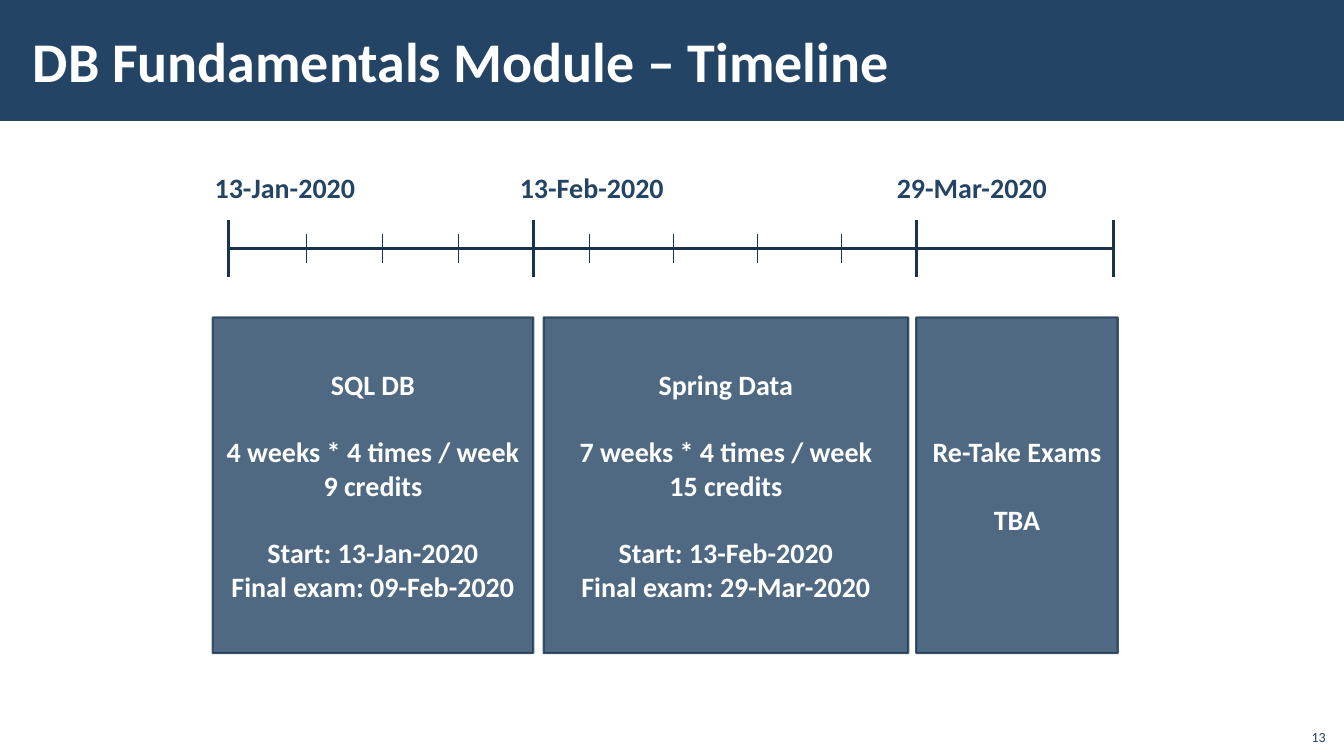
from dataclasses import dataclass

import lxml.etree
import pptx
import pptx.dml.color
import pptx.enum.shapes
import pptx.enum.text
import pptx.oxml.ns
import pptx.util
from pptx.util import Cm

ALIGN = pptx.enum.text.PP_ALIGN
ANCHOR = pptx.enum.text.MSO_ANCHOR


@dataclass(frozen=True)
class Theme:
    font: str = "Calibri"
    navy: str = "234465"
    ink: str = "1A334C"
    white: str = "FFFFFF"
    title_size: float = 40
    body_size: float = 20
    number_size: float = 10
    section_gap: float = 24
    box_opacity: int = 80


THEME = Theme()

AXIS_Y = 6.27
MAJOR_TICKS = (5.77, 13.44, 23.09, 28.07)
MINOR_TICKS = [7.72 + 1.92 * week for week in range(3)]
MINOR_TICKS += [14.84 + 2.12 * week for week in range(4)]

DATES = ((5.16, "13-Jan-2020"), (12.85, "13-Feb-2020"), (22.35, "29-Mar-2020"))

# Left edge, width, and sections of lines for each stage of the module
STAGES = (
    (5.36, 8.08, (("SQL DB",),
                  ("4 weeks * 4 times / week", "9 credits"),
                  ("Start: 13-Jan-2020", "Final exam: 09-Feb-2020"))),
    (13.7, 9.19, (("Spring Data",),
                  ("7 weeks * 4 times / week", "15 credits"),
                  ("Start: 13-Feb-2020", "Final exam: 29-Mar-2020"))),
    (23.09, 5.08, (("Re-Take Exams",), ("TBA",))),
)


def rgb(color):
    return pptx.dml.color.RGBColor.from_string(color)


def set_opacity(properties, percent):
    """Add an alpha value to every solid colour in the shape properties."""
    qn = pptx.oxml.ns.qn
    for color in properties.iter(qn("a:srgbClr")):
        alpha = lxml.etree.SubElement(color, qn("a:alpha"))
        alpha.set("val", str(percent * 1000))


def add_run(paragraph, text, size, color, bold=True):
    run = paragraph.add_run()
    run.text = text
    run.font.name = THEME.font
    run.font.size = pptx.util.Pt(size)
    run.font.bold = bold
    run.font.color.rgb = rgb(color)


def add_rectangle(slide, left, top, width, height):
    shape = slide.shapes.add_shape(
        pptx.enum.shapes.MSO_SHAPE.RECTANGLE,
        Cm(left), Cm(top), Cm(width), Cm(height))
    shape.shadow.inherit = False
    shape.fill.solid()
    shape.fill.fore_color.rgb = rgb(THEME.navy)
    shape.line.fill.background()
    return shape


def add_label(slide, text, left, top, width, height, size, color,
              bold=True, align=ALIGN.LEFT, anchor=ANCHOR.TOP):
    box = slide.shapes.add_textbox(Cm(left), Cm(top), Cm(width), Cm(height))
    frame = box.text_frame
    frame.word_wrap = True
    frame.vertical_anchor = anchor
    paragraph = frame.paragraphs[0]
    paragraph.alignment = align
    add_run(paragraph, text, size, color, bold)
    return frame


def add_line(slide, start, end, weight):
    line = slide.shapes.add_connector(
        pptx.enum.shapes.MSO_CONNECTOR.STRAIGHT,
        Cm(start[0]), Cm(start[1]), Cm(end[0]), Cm(end[1]))
    line.line.color.rgb = rgb(THEME.ink)
    line.line.width = pptx.util.Pt(weight)
    lxml.etree.SubElement(line._element.spPr, pptx.oxml.ns.qn("a:effectLst"))


def add_tick(slide, x, length, weight):
    add_line(slide, (x, AXIS_Y - length / 2), (x, AXIS_Y + length / 2), weight)


def add_stage(slide, left, width, sections):
    """Add a translucent box whose sections are set apart by a gap."""
    shape = add_rectangle(slide, left, 8, width, 8.46)
    shape.line.color.rgb = rgb(THEME.ink)
    shape.line.width = pptx.util.Pt(1.5)
    set_opacity(shape._element.spPr, THEME.box_opacity)
    frame = shape.text_frame
    frame.word_wrap = True
    frame.vertical_anchor = ANCHOR.MIDDLE
    paragraph = None
    for section in sections:
        for index, text in enumerate(section):
            starts_section = paragraph is not None and index == 0
            paragraph = (frame.paragraphs[0] if paragraph is None
                         else frame.add_paragraph())
            paragraph.alignment = ALIGN.CENTER
            if starts_section:
                paragraph.space_before = pptx.util.Pt(THEME.section_gap)
            add_run(paragraph, text, THEME.body_size, THEME.white)


def add_title(slide, text):
    add_rectangle(slide, 0, 0, 33.87, 3.05)
    frame = add_label(slide, text, 0.53, 0.28, 27, 2.46, THEME.title_size,
                      THEME.white, anchor=ANCHOR.MIDDLE)
    frame.margin_left = frame.margin_right = Cm(0.3)
    frame.margin_top = frame.margin_bottom = Cm(0.1)


def add_timeline(slide):
    for x in MAJOR_TICKS:
        add_tick(slide, x, 1.43, 2.25)
    for x in MINOR_TICKS:
        add_tick(slide, x, 0.72, 0.5)
    add_line(slide, (MAJOR_TICKS[0], AXIS_Y), (MAJOR_TICKS[-1], AXIS_Y), 2.25)
    for left, date in DATES:
        add_label(slide, date, left, 4.17, 4.8, 1.12, THEME.body_size,
                  THEME.navy)


def main():
    presentation = pptx.Presentation()
    presentation.slide_width = Cm(33.87)
    presentation.slide_height = Cm(19.05)
    slide = presentation.slides.add_slide(presentation.slide_layouts[6])

    add_title(slide, "DB Fundamentals Module – Timeline")
    add_timeline(slide)
    for left, width, sections in STAGES:
        add_stage(slide, left, width, sections)
    add_label(slide, "13", 32.64, 18.1, 1.02, 0.81, THEME.number_size,
              THEME.navy, bold=False, align=ALIGN.RIGHT, anchor=ANCHOR.BOTTOM)

    presentation.save("out.pptx")


if __name__ == "__main__":
    main()
